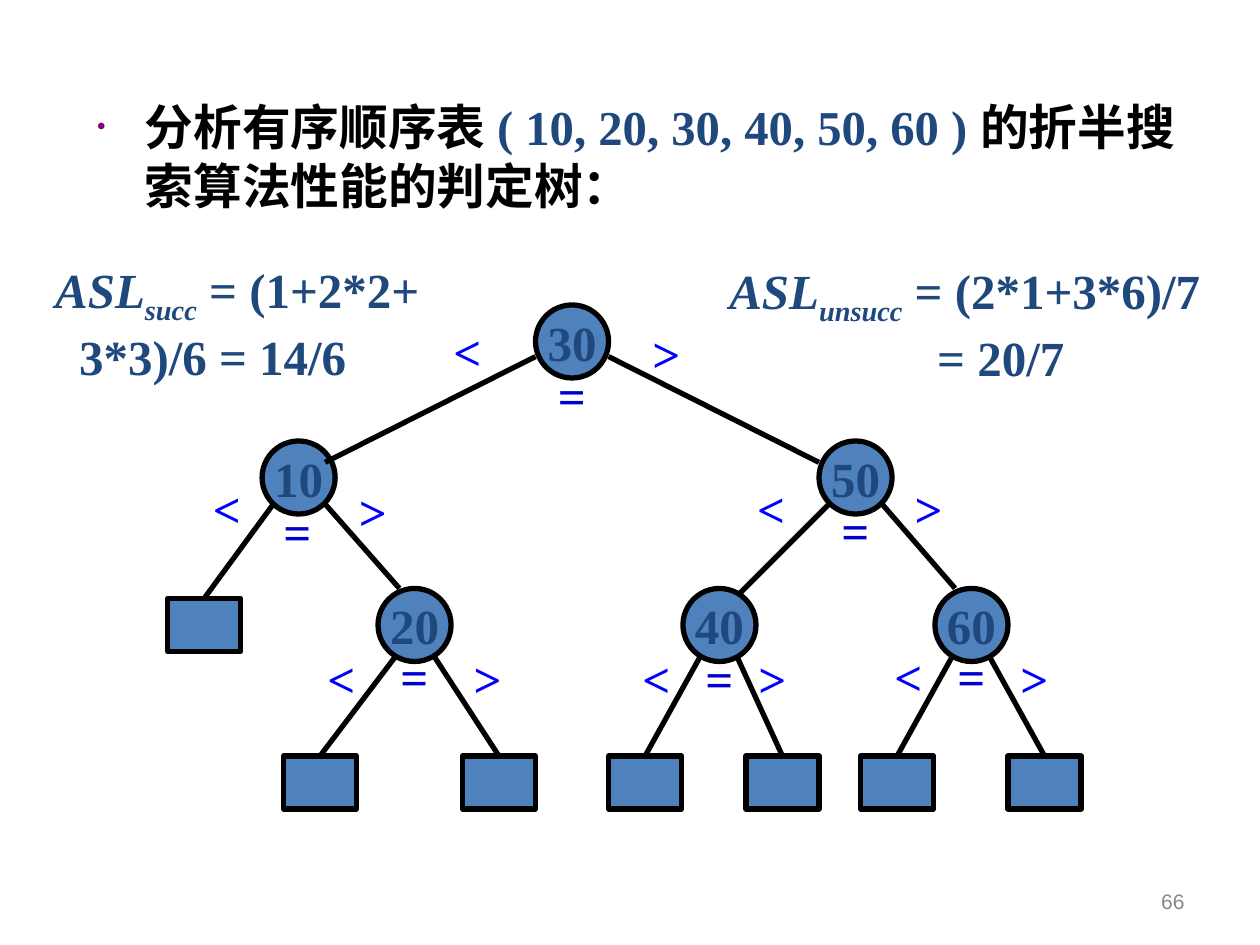
import pptx
import pptx.util
import pptx.dml.color
import pptx.enum.shapes
import pptx.enum.text
import pptx.oxml.ns
from lxml import etree
from pptx.util import Inches

SERIF = "Times New Roman"
NAVY = "1F497D"
STEEL = "4F81BD"
BLACK = "000000"
NODE_SIZE = 0.58
LEAF_SIZE = (0.58, 0.42)
SYMBOL_COLORS = {"<": "0000FF", "=": "0000CC", ">": "0000FF"}

NODES = {
    "30": (4.25, 2.42), "10": (2.08, 3.5), "50": (6.5, 3.5),
    "20": (3, 4.67), "40": (5.42, 4.67), "60": (7.42, 4.67),
}
UPPER_NODES = ("30", "10", "50")
LOWER_NODES = ("20", "40", "60")
NODE_BRANCHES = [
    ((4.25, 2.83), (2.58, 3.67)), ((4.83, 2.83), (6.5, 3.67)),
    ((2.58, 4), (3.17, 4.67)),
    ((6.58, 4), (5.83, 4.75)), ((7, 4), (7.58, 4.67)),
]
LEAF_BRANCHES = [
    ((2.17, 4), (1.33, 4.75)),
    ((3.17, 5.17), (2.25, 6)), ((3.42, 5.17), (3.67, 6)),
    ((5.58, 5.17), (4.83, 6)), ((5.83, 5.17), (5.92, 6)),
    ((7.58, 5.17), (6.83, 6)), ((7.83, 5.17), (8, 6)),
]
COMPARISONS = {
    "<": [(3.5, 2.5), (1.59, 3.75), (5.91, 3.75), (2.5, 5.1), (5, 5.1), (7, 5.08)],
    "=": [(4.33, 2.85), (2.15, 3.93), (6.58, 3.92), (3.08, 5.08), (5.5, 5.1), (7.5, 5.08)],
    ">": [(5.08, 2.52), (2.75, 3.77), (7.16, 3.75), (3.66, 5.1), (5.92, 5.1), (8, 5.1)],
}


def rgb(value):
    return pptx.dml.color.RGBColor.from_string(value)


def set_font(font, color, size=28, name=SERIF, bold=True):
    font.name = name
    font.size = pptx.util.Pt(size)
    font.bold = bold
    font.color.rgb = rgb(color)


def add_heading(page, spans):
    title = page.shapes.title
    title.left, title.top = Inches(0.67), Inches(0.72)
    title.width, title.height = Inches(8.84), Inches(1.33)
    frame = title.text_frame
    frame.word_wrap = True
    frame.auto_size = pptx.enum.text.MSO_AUTO_SIZE.NONE
    frame.vertical_anchor = pptx.enum.text.MSO_ANCHOR.TOP
    para = frame.paragraphs[0]
    para.alignment = pptx.enum.text.PP_ALIGN.LEFT
    para.line_spacing = 1.0
    properties = para._p.get_or_add_pPr()
    properties.set("marL", str(Inches(0.38)))
    properties.set("indent", str(Inches(-0.38)))
    qn = pptx.oxml.ns.qn
    bullet_color = etree.SubElement(properties, qn("a:buClr"))
    etree.SubElement(bullet_color, qn("a:srgbClr"), val="800080")
    etree.SubElement(properties, qn("a:buSzPct"), val="50000")
    etree.SubElement(properties, qn("a:buFont"), typeface="Arial")
    etree.SubElement(properties, qn("a:buChar"), char="•")
    for text, color in spans:
        span = para.add_run()
        span.text = text
        set_font(span.font, color, 27.8)


def add_text(page, left, top, width, height, text, color, **font):
    box = page.shapes.add_textbox(Inches(left), Inches(top), Inches(width), Inches(height))
    box.text_frame.word_wrap = False
    para = box.text_frame.paragraphs[0]
    para.text = text
    set_font(para.font, color, **font)
    return box


def add_formula(page, left, top, width, subscript, first_line, second_line, indent):
    box = add_text(page, left, top, width, 1.1, "ASL", NAVY)
    para = box.text_frame.paragraphs[0]
    para.runs[0].font.italic = True
    lowered = para.add_run()
    lowered.text = subscript
    lowered.font.italic = True
    lowered._r.get_or_add_rPr().set("baseline", "-25000")
    para.add_run().text = first_line
    para = box.text_frame.add_paragraph()
    para.text = second_line
    para._p.get_or_add_pPr().set("marL", str(Inches(indent)))
    set_font(para.font, NAVY)


def add_figure(page, kind, left, top, width, height):
    figure = page.shapes.add_shape(
        kind, Inches(left), Inches(top), Inches(width), Inches(height))
    figure.shadow.inherit = False
    figure.fill.solid()
    figure.fill.fore_color.rgb = rgb(STEEL)
    figure.line.color.rgb = rgb(BLACK)
    figure.line.width = pptx.util.Pt(3)
    return figure


def add_node(page, key):
    node = add_figure(
        page, pptx.enum.shapes.MSO_SHAPE.OVAL, *NODES[key], NODE_SIZE, NODE_SIZE)
    frame = node.text_frame
    frame.word_wrap = False
    frame.vertical_anchor = pptx.enum.text.MSO_ANCHOR.MIDDLE
    para = frame.paragraphs[0]
    para.text = key
    para.alignment = pptx.enum.text.PP_ALIGN.CENTER
    set_font(para.font, NAVY)


def add_branch(page, start, end):
    branch = page.shapes.add_connector(
        pptx.enum.shapes.MSO_CONNECTOR.STRAIGHT, *map(Inches, start + end))
    branch.line.color.rgb = rgb(BLACK)
    branch.line.width = pptx.util.Pt(3)
    etree.SubElement(branch._element.spPr, pptx.oxml.ns.qn("a:effectLst"))
    return branch


def add_leaf(page, start, corner):
    leaf = add_figure(page, pptx.enum.shapes.MSO_SHAPE.RECTANGLE, *corner, *LEAF_SIZE)
    add_branch(page, start, corner).end_connect(leaf, 0)


def add_page_number(page, number):
    box = add_text(page, 7.17, 6.95, 2.33, 0.4, number, "898989",
                   size=12, name="Arial", bold=False)
    box.text_frame.word_wrap = True
    box.text_frame.vertical_anchor = pptx.enum.text.MSO_ANCHOR.MIDDLE
    box.text_frame.paragraphs[0].alignment = pptx.enum.text.PP_ALIGN.RIGHT


def main():
    deck = pptx.Presentation()
    deck.slide_width, deck.slide_height = Inches(10), Inches(7.5)
    page = deck.slides.add_slide(deck.slide_layouts[5])
    add_heading(page, [
        ("分析有序顺序表 ", BLACK),
        ("( 10, 20, 30, 40, 50, 60 ) ", NAVY),
        ("的折半搜索算法性能的判定树：", BLACK),
    ])
    for key in UPPER_NODES:
        add_node(page, key)
    for start, end in NODE_BRANCHES:
        add_branch(page, start, end)
    for start, corner in LEAF_BRANCHES:
        add_leaf(page, start, corner)
    for key in LOWER_NODES:
        add_node(page, key)
    for symbol, places in COMPARISONS.items():
        for left, top in places:
            add_text(page, left, top, 0.42, 0.57, symbol, SYMBOL_COLORS[symbol])
    add_formula(page, 0.34, 2.01, 3.17, "succ", " = (1+2*2+", "3*3)/6 = 14/6", 0.19)
    add_formula(page, 5.69, 2.02, 3.94, "unsucc", " = (2*1+3*6)/7", "= 20/7", 1.65)
    add_page_number(page, "66")
    deck.save("out.pptx")


if __name__ == "__main__":
    main()
